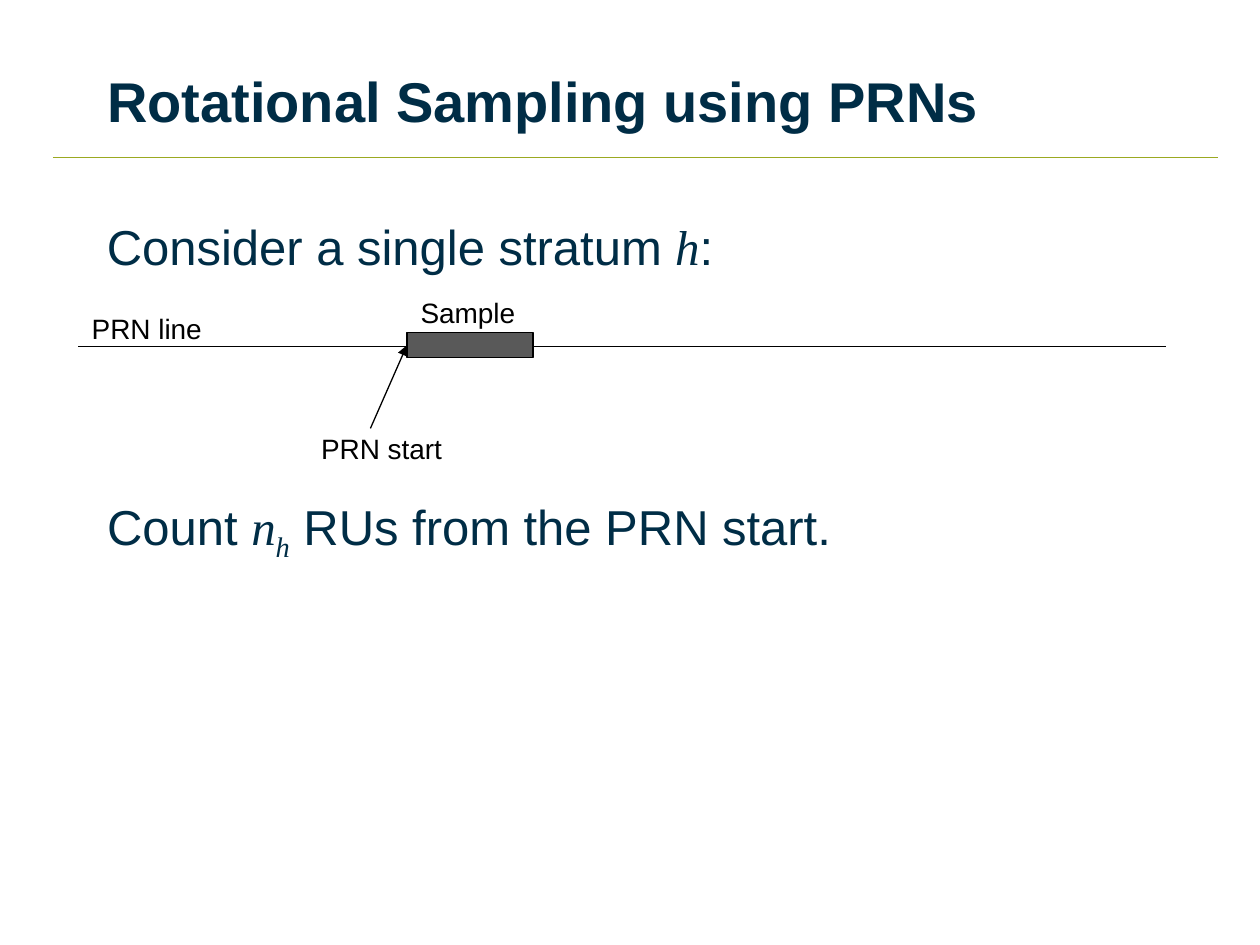
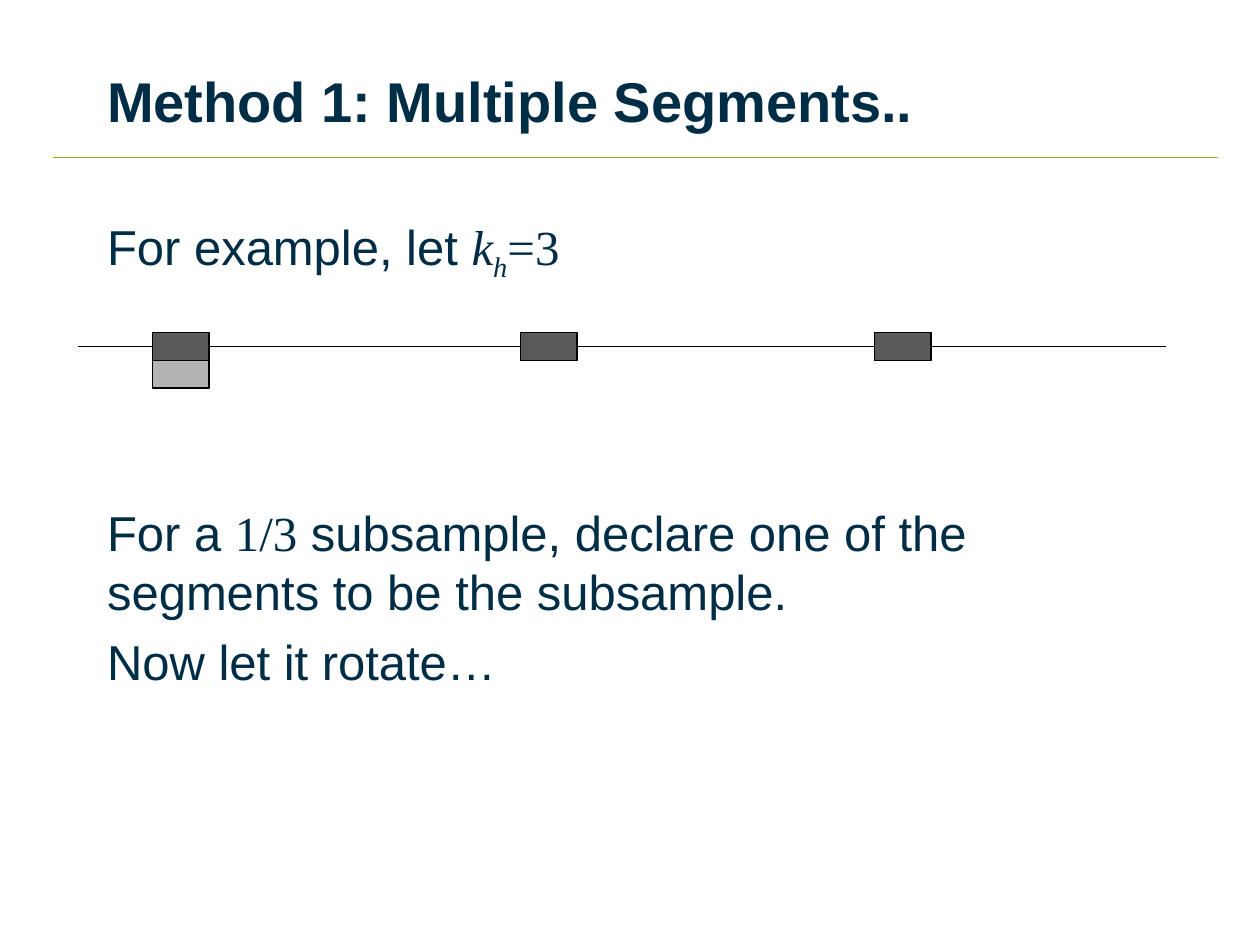
from pptx import Presentation
from pptx.dml.color import RGBColor
from pptx.enum.shapes import MSO_CONNECTOR, MSO_SHAPE
from pptx.enum.text import MSO_ANCHOR, MSO_AUTO_SIZE, PP_ALIGN
from pptx.oxml.ns import qn
from pptx.util import Inches, Pt
from lxml.etree import SubElement

NAVY, OLIVE, BLACK = "002D46", "9BA921", "000000"
DARK_GREY, LIGHT_GREY = "595959", "B3B3B3"
SANS, SERIF = "Arial", "Times New Roman"
TITLE_BOX = (0.75, 0.17, 8.5, 1.25)
RULE = (0.42, 1.25, 9.67, 1.25)
PRN_LINE = (0.62, 2.75, 9.25, 2.75)
PARA_GAP, DIAGRAM_GAP = 6.4, 125


def color(value):
    """Turn a hex string into a colour."""
    return RGBColor.from_string(value)


def place(shape, box):
    """Move a shape to a box given in inches."""
    shape.left, shape.top, shape.width, shape.height = map(Inches, box)


def style(font, size, tint=NAVY, bold=False):
    """Set the sans face, size, colour and weight of a font."""
    font.name, font.size, font.bold = SANS, Pt(size), bold
    font.color.rgb = color(tint)


def add_line(page, ends, tint=BLACK, arrow=False):
    """Draw a thin straight line, with an arrowhead at its end if asked."""
    line = page.shapes.add_connector(MSO_CONNECTOR.STRAIGHT, *map(Inches, ends))
    line.line.color.rgb = color(tint)
    line.line.width = Pt(0.75)
    if arrow:
        SubElement(line.line._get_or_add_ln(), qn("a:tailEnd"), type="triangle")
    SubElement(line._element.spPr, qn("a:effectLst"))


def add_segment(page, box, fill=DARK_GREY):
    """Draw one outlined block of sampled units."""
    block = page.shapes.add_shape(MSO_SHAPE.RECTANGLE, *map(Inches, box))
    block.shadow.inherit = False
    block.fill.solid()
    block.fill.fore_color.rgb = color(fill)
    block.line.color.rgb = color(BLACK)
    block.line.width = Pt(0.75)


def write_para(para, spans, size=28, tint=NAVY, gap=0):
    """Fill an unbulleted paragraph; a span's kind is text, math, var or sub."""
    style(para.font, size, tint)
    para.alignment = PP_ALIGN.LEFT
    para.space_before = Pt(gap)
    props = para._p.get_or_add_pPr()
    props.set("marL", "0")
    props.set("indent", "0")
    bullet = props.makeelement(qn("a:buNone"), {})
    props.find(qn("a:defRPr")).addprevious(bullet)
    for text, kind in spans:
        span = para.add_run()
        span.text = text
        style(span.font, size, tint)
        if kind != "text":
            span.font.name = SERIF
            span.font.italic = kind in ("var", "sub")
        if kind == "sub":
            span._r.get_or_add_rPr().set("baseline", "-25000")


def add_text(page, box, spans, size=28, tint=NAVY):
    """Add a wrapped one-paragraph text box."""
    shape = page.shapes.add_textbox(*map(Inches, box))
    shape.text_frame.word_wrap = True
    write_para(shape.text_frame.paragraphs[0], spans, size, tint)


def add_label(page, left, top, text):
    """Add a small black diagram label."""
    add_text(page, (left, top, 1.17, 0.33), [(text, "text")], 16, BLACK)


def fill_body(page, box, items):
    """Fill the body placeholder with (gap before, spans) paragraphs."""
    body = page.placeholders[1]
    place(body, box)
    frame = body.text_frame
    frame.auto_size = MSO_AUTO_SIZE.NONE
    for index, (gap, spans) in enumerate(items):
        para = frame.add_paragraph() if index else frame.paragraphs[0]
        write_para(para, spans, gap=gap)


def add_page(deck, title):
    """Start a slide with its title, olive rule and PRN line."""
    page = deck.slides.add_slide(deck.slide_layouts[1])
    add_line(page, RULE, OLIVE)
    place(page.shapes.title, TITLE_BOX)
    frame = page.shapes.title.text_frame
    frame.text = title
    frame.auto_size = MSO_AUTO_SIZE.NONE
    frame.vertical_anchor = MSO_ANCHOR.MIDDLE
    para = frame.paragraphs[0]
    para.alignment = PP_ALIGN.LEFT
    style(para.font, 32, bold=True)
    add_line(page, PRN_LINE)
    return page


def build_rotation(deck):
    """Build the slide that marks one sample on the PRN line."""
    page = add_page(deck, "Rotational Sampling using PRNs")
    add_text(page, (0.75, 1.67, 8.5, 0.59), [
        ("Consider a single stratum ", "text"), ("h", "var"), (":", "text")])
    fill_body(page, (0.75, 3.89, 8.5, 2.77), [
        (0, [("Count ", "text"), ("n", "var"), ("h", "sub"),
             (" RUs from the PRN start.", "text")])])
    add_line(page, (2.94, 3.4, 3.23, 2.74), arrow=True)
    add_segment(page, (3.23, 2.64, 1, 0.2))
    add_label(page, 0.63, 2.42, "PRN line")
    add_label(page, 2.45, 3.38, "PRN start")
    add_label(page, 3.24, 2.3, "Sample")


def build_segments(deck):
    """Build the slide that splits the sample into three segments."""
    page = add_page(deck, "Method 1: Multiple Segments..")
    fill_body(page, (0.75, 1.67, 8.5, 5), [
        (0, [("For example, let ", "text"), ("k", "var"), ("h", "sub"),
             ("=3", "math")]),
        (DIAGRAM_GAP, [
            ("For a ", "text"), ("1/3", "math"),
            (" subsample, declare one of the segments to be the subsample.",
             "text")]),
        (PARA_GAP, [("Now let it rotate…", "text")])])
    width, height, top = 0.45, 0.22, 2.64
    lefts = (1.21, 4.13, 6.94)
    for left in lefts:
        add_segment(page, (left, top, width, height))
    add_segment(page, (lefts[0], top + height, width, height), LIGHT_GREY)


def main():
    """Build and save the deck."""
    deck = Presentation()
    deck.slide_width, deck.slide_height = Inches(10), Inches(7.5)
    build_rotation(deck)
    build_segments(deck)
    deck.save("out.pptx")


if __name__ == "__main__":
    main()
